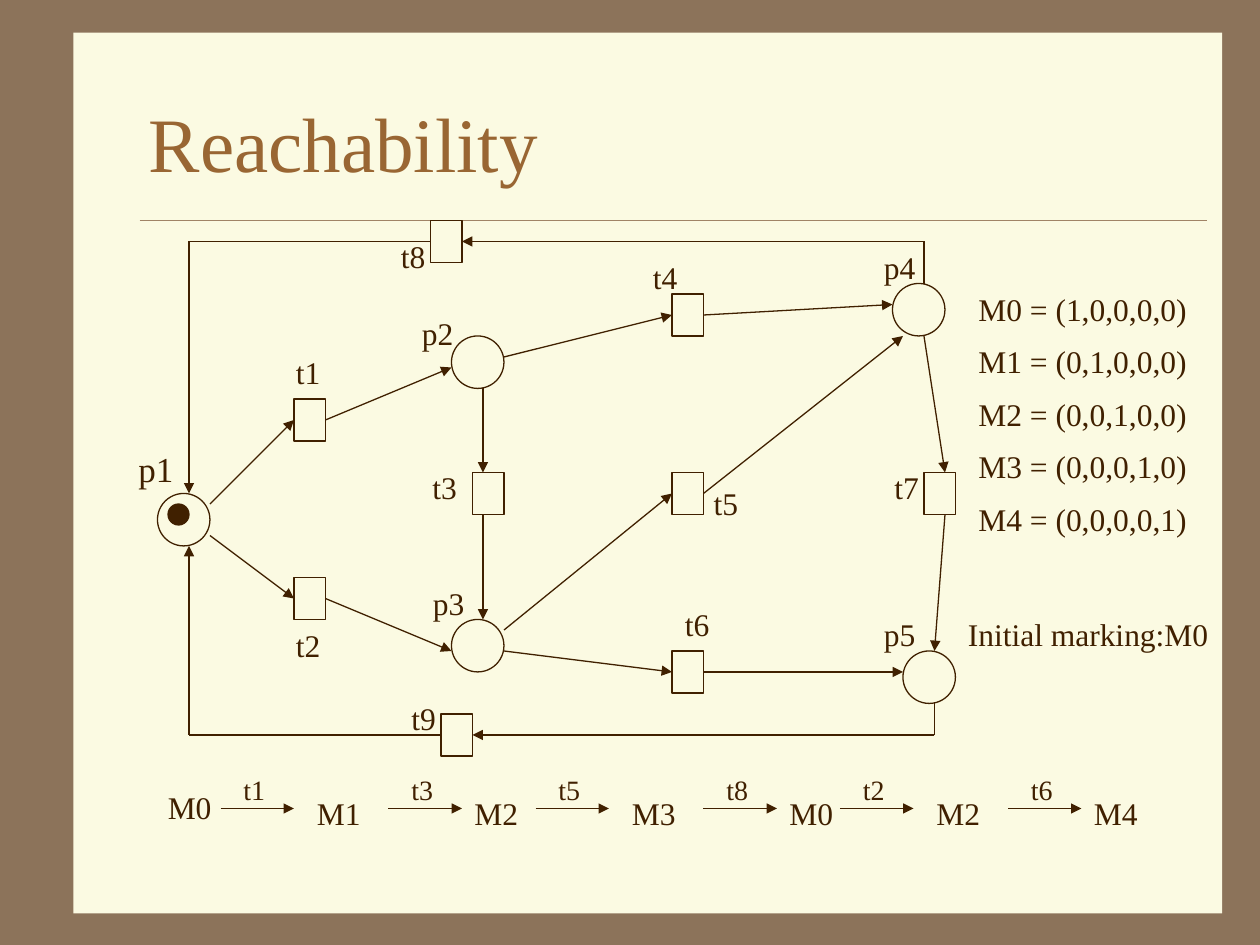
from typing import NamedTuple

from lxml import etree
from pptx import Presentation
from pptx.dml.color import RGBColor
from pptx.enum.shapes import MSO_CONNECTOR, MSO_SHAPE
from pptx.enum.text import MSO_ANCHOR
from pptx.oxml.ns import qn
from pptx.util import Cm, Pt

RECT, OVAL = MSO_SHAPE.RECTANGLE, MSO_SHAPE.OVAL
STRAIGHT = MSO_CONNECTOR.STRAIGHT
TOP, MIDDLE = MSO_ANCHOR.TOP, MSO_ANCHOR.MIDDLE

FONT = "Times New Roman"
COLORS = {
    "border": "8C735A",
    "paper": "FBFAE2",
    "rule": "A08366",
    "title": "996633",
    "ink": "402000",
}
PLACE_SIZE = (5, 5)
TRANSITION_SIZE = (3, 4)
LABEL_WIDTH = 6
MARKING_WIDTH = 7
TRACE_Y = 77
TRACE_ARROW = 7


class Node(NamedTuple):
    name: str
    x: float
    y: float
    label_x: float
    label_y: float
    label_size: int = 18


class Step(NamedTuple):
    transition: str
    arrow_x: float
    marking: str
    marking_x: float


PLACES = [
    Node("p1", 15, 47, 12, 42, 20),
    Node("p2", 43, 32, 39, 29.3),
    Node("p3", 43, 59, 40.05, 55),
    Node("p4", 85, 27, 83, 23),
    Node("p5", 86, 62, 83, 58),
]
TRANSITIONS = [
    Node("t1", 28, 38, 27, 33),
    Node("t2", 28, 55, 27, 59),
    Node("t3", 45, 45, 40, 44),
    Node("t4", 64, 28, 61, 24),
    Node("t5", 64, 45, 66.8, 45.5),
    Node("t6", 64, 62, 64.05, 57),
    Node("t7", 88, 45, 84, 44),
    Node("t8", 41, 21, 37, 22),
    Node("t9", 42, 68, 38, 66),
]
ARCS = [
    [(20, 48), (28, 40)],
    [(20, 51), (28, 57)],
    [(31, 40), (43, 35)],
    [(31, 57), (43, 62)],
    [(48, 34), (64, 30)],
    [(67, 30), (85, 29)],
    [(46, 37), (46, 45)],
    [(46, 49), (46, 59)],
    [(48, 60), (64, 47)],
    [(67, 47), (86, 32)],
    [(48, 62), (64, 64)],
    [(67, 64), (86, 64)],
    [(88, 32), (90, 45)],
    [(90, 49), (89, 62)],
    [(89, 67), (89, 70), (45, 70)],
    [(42, 70), (18, 70), (18, 52)],
    [(88, 27), (88, 23), (44, 23)],
    [(41, 23), (18, 23), (18, 47)],
]
TRACE = [
    Step("t1", 21, "M1", 29),
    Step("t3", 37, "M2", 44),
    Step("t5", 51, "M3", 59),
    Step("t8", 67, "M0", 74),
    Step("t2", 80, "M2", 88),
    Step("t6", 96, "M4", 103),
]


def grid(n: float) -> int:
    """Length of n grid units; the slide is 120 by 90 units."""
    return Cm(n * 2.54 / 12)


def rgb(name: str) -> RGBColor:
    return RGBColor.from_string(COLORS[name])


def add_text(s, text: str, x: float, y: float, w: float, h: float = 4.8, *,
             size: float = 18, color: str = "ink", anchor=TOP):
    tf = s.shapes.add_textbox(grid(x), grid(y), grid(w), grid(h)).text_frame
    tf.word_wrap = True
    tf.vertical_anchor = anchor
    r = tf.paragraphs[0].add_run()
    r.text = text
    r.font.name = FONT
    r.font.size = Pt(size)
    r.font.color.rgb = rgb(color)


def add_outline(s, kind, x: float, y: float, w: float, h: float,
                fill: str | None = None, line: str | None = "ink"):
    sp = s.shapes.add_shape(kind, grid(x), grid(y), grid(w), grid(h))
    sp.shadow.inherit = False
    if fill:
        sp.fill.solid()
        sp.fill.fore_color.rgb = rgb(fill)
    else:
        sp.fill.background()
    if line:
        sp.line.color.rgb = rgb(line)
        sp.line.width = Pt(0.75)
    else:
        sp.line.fill.background()


def add_line(s, start: tuple, end: tuple, *, arrow: bool = False,
             color: str = "ink", width: float = 0.75):
    c = s.shapes.add_connector(STRAIGHT, *map(grid, (*start, *end)))
    c.line.color.rgb = rgb(color)
    c.line.width = Pt(width)
    if arrow:
        ln = c._element.spPr.find(qn("a:ln"))
        etree.SubElement(ln, qn("a:tailEnd"), type="triangle")
    etree.SubElement(c._element.spPr, qn("a:effectLst"))


def add_arc(s, points: list[tuple]):
    """Join the points with lines; the last one carries the arrowhead."""
    for i in range(1, len(points)):
        add_line(s, points[i - 1], points[i], arrow=i == len(points) - 1)


def add_node(s, node: Node, kind, size: tuple):
    add_outline(s, kind, node.x, node.y, *size)
    add_text(s, node.name, node.label_x, node.label_y, LABEL_WIDTH,
             size=node.label_size)


def add_net(s):
    for arc in ARCS:
        add_arc(s, arc)
    for place in PLACES:
        add_node(s, place, OVAL, PLACE_SIZE)
    for transition in TRANSITIONS:
        add_node(s, transition, RECT, TRANSITION_SIZE)
    add_outline(s, OVAL, 16, 48, 2, 2, fill="ink")


def add_markings(s, count: int = 5):
    for i in range(count):
        vector = ",".join(str(int(i == j)) for j in range(count))
        add_text(s, f"M{i} = ({vector})", 92, 27 + 5 * i, 24)
    add_text(s, "Initial marking:M0", 91, 58, 26)


def add_trace(s):
    add_text(s, "M0", 14.8, 74.5, MARKING_WIDTH)
    for step in TRACE:
        x = step.arrow_x
        add_line(s, (x, TRACE_Y), (x + TRACE_ARROW, TRACE_Y), arrow=True)
        add_text(s, step.transition, x + 1, TRACE_Y - 4, LABEL_WIDTH, 4.4, size=16)
        add_text(s, step.marking, step.marking_x, TRACE_Y - 2, MARKING_WIDTH)


def main():
    prs = Presentation()
    prs.slide_width, prs.slide_height = grid(120), grid(90)
    s = prs.slides.add_slide(prs.slide_layouts[6])
    s.background.fill.solid()
    s.background.fill.fore_color.rgb = rgb("border")
    add_outline(s, RECT, 7, 3.1, 109.4, 83.9, fill="paper", line=None)
    add_line(s, (13.3, 21), (115, 21), color="rule", width=0.25)
    add_text(s, "Reachability", 13, 6, 102, 15, size=44, color="title",
             anchor=MIDDLE)
    add_net(s)
    add_markings(s)
    add_trace(s)
    prs.save("out.pptx")


if __name__ == "__main__":
    main()
